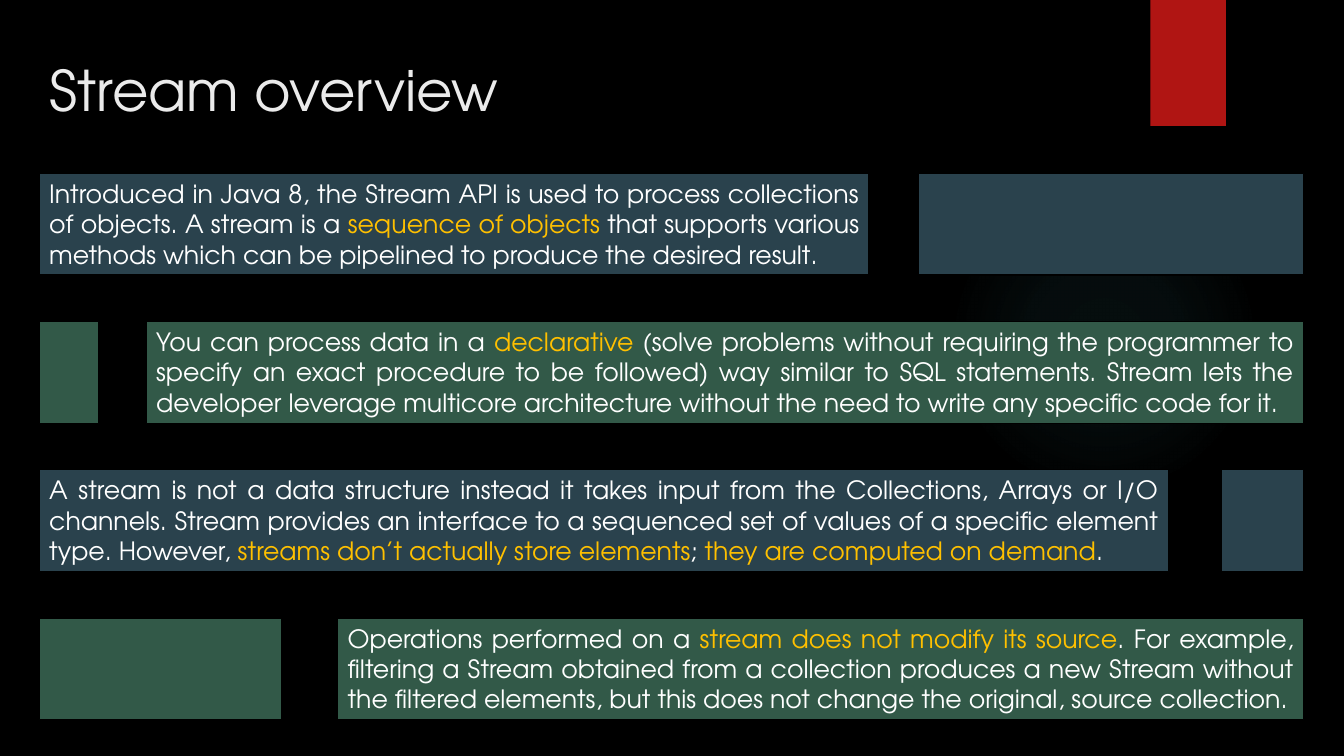
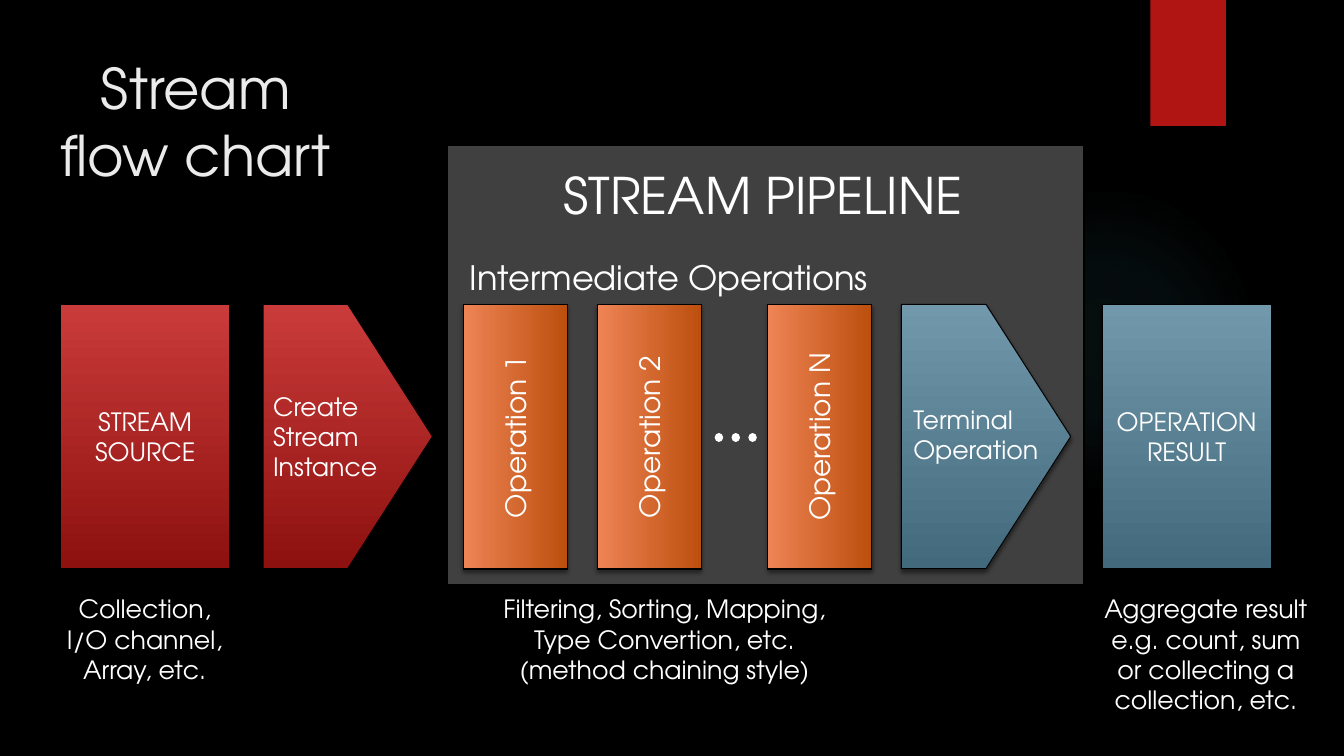
from pptx import Presentation
from pptx.dml.color import RGBColor
from pptx.enum.dml import MSO_LINE
from pptx.enum.shapes import MSO_CONNECTOR, MSO_SHAPE as SHAPE
from pptx.enum.text import MSO_ANCHOR as ANCHOR, PP_ALIGN as ALIGN
from pptx.oxml import parse_xml
from pptx.oxml.ns import nsdecls, qn
from pptx.util import Inches, Pt

FONT = "TeX Gyre Adventor"
COLORS = {
    "black": "000000",
    "white": "FFFFFF",
    "title": "EBEBEB",
    "accent": "B01513",
    "glow": "50B9C1",
    "highlight": "FFC000",
    "navy": "2A424D",
    "green": "325948",
    "panel": "404040",
}
GRADIENTS = {
    "red": ("C93B3A", "8D110F"),
    "steel": ("7198AB", "436A7C"),
    "orange": ("EE8455", "BC4F0E"),
}
MARGIN, RIGHT_EDGE = 0.39, 12.93
ROW_TOP, ROW_PITCH, ROW_HEIGHT = 1.72, 1.47, 1.01
STEP_TOP, STEP_WIDTH, STEP_HEIGHT = 3.02, 1.68, 2.62
CAPTION_TOP = 5.84

OVERVIEW_ROWS = [
    (8.23, 3.82, [
        "Introduced in Java 8, the Stream API is used to process collections of objects. A stream is a ",
        "sequence of objects",
        " that supports various methods which can be pipelined to produce the desired result.",
    ]),
    (11.48, 0.59, [
        "You can process data in a ",
        "declarative ",
        "(solve problems without requiring the programmer to specify an exact procedure to be followed) "
        "way similar to SQL statements. Stream lets the developer leverage multicore architecture "
        "without the need to write any specific code for it.",
    ]),
    (11.2, 0.82, [
        "A stream is not a data structure instead it takes input from the Collections, Arrays or I/O "
        "channels. Stream provides an interface to a sequenced set of values of a specific element "
        "type. However, ",
        "streams don’t actually store elements",
        "; ",
        "they are computed on demand",
        ".",
    ]),
    (9.58, 2.4, [
        "Operations performed on a ",
        "stream does not modify its source",
        ". For example, filtering a Stream obtained from a collection produces a new Stream without "
        "the filtered elements, but this does not change the original, source collection.",
    ]),
]


def color(name):
    return RGBColor.from_string(COLORS[name])


def write(shape, paragraphs, size=18, align=ALIGN.CENTER, anchor=ANCHOR.TOP, ink="white"):
    frame = shape.text_frame
    frame.word_wrap = True
    frame.vertical_anchor = anchor
    for index, spans in enumerate(paragraphs):
        para = frame.paragraphs[0] if index == 0 else frame.add_paragraph()
        para.alignment = align
        para.font.name = FONT
        para.font.size = Pt(size)
        para.font.color.rgb = color(ink)
        for position, text in enumerate(spans):
            span = para.add_run()
            span.text = text
            if position % 2:
                span.font.color.rgb = color("highlight")


def add_text(slide, at, lines, **style):
    box = slide.shapes.add_textbox(*map(Inches, at))
    write(box, [[line] for line in lines], **style)


def add_block(slide, kind, at, fill, line_width=None):
    block = slide.shapes.add_shape(kind, *map(Inches, at))
    block.shadow.inherit = False
    if fill in GRADIENTS:
        block.fill.gradient()
        block.fill.gradient_angle = 270
        for stop, shade in zip(block.fill.gradient_stops, GRADIENTS[fill]):
            stop.color.rgb = RGBColor.from_string(shade)
    else:
        block.fill.solid()
        block.fill.fore_color.rgb = color(fill)
    if line_width:
        block.line.color.rgb = color("black")
        block.line.width = Pt(line_width)
    else:
        block.line.fill.background()
    return block


def add_shadow(shape):
    effects = shape.element.spPr.find(qn("a:effectLst"))
    effects.append(parse_xml(
        f'<a:outerShdw {nsdecls("a")} blurRad="{Pt(3)}" dist="{Pt(2)}" dir="5400000" rotWithShape="0">'
        f'<a:srgbClr val="{COLORS["black"]}"><a:alpha val="45000"/></a:srgbClr></a:outerShdw>'))


def add_glow(slide):
    glow = add_block(slide, SHAPE.OVAL, (9.41, 1.83, 3.08, 3.08), "glow")
    stops = "".join(
        f'<a:gs pos="{place}000"><a:srgbClr val="{COLORS["glow"]}"><a:alpha val="{alpha}000"/></a:srgbClr></a:gs>'
        for place, alpha in ((0, 7), (36, 6), (69, 0)))
    gradient = parse_xml(
        f'<a:gradFill {nsdecls("a")}><a:gsLst>{stops}</a:gsLst><a:path path="circle">'
        '<a:fillToRect l="50000" t="50000" r="50000" b="50000"/></a:path></a:gradFill>')
    properties = glow.element.spPr
    properties.replace(properties.find(qn("a:solidFill")), gradient)


def add_slide(deck):
    slide = deck.slides.add_slide(deck.slide_layouts[6])
    slide.background.fill.solid()
    slide.background.fill.fore_color.rgb = color("black")
    add_glow(slide)
    add_shadow(add_block(slide, SHAPE.RECTANGLE, (11.41, 0, 0.75, 1.25), "accent"))
    return slide


def add_title(slide, at, text, align):
    add_text(slide, at, [text], size=40, align=align, ink="title")


def add_step(slide, kind, at, fill, lines=(), size=18, align=ALIGN.CENTER):
    step = add_block(slide, kind, at, fill, 0.75)
    add_shadow(step)
    write(step, [[line] for line in lines], size, align, ANCHOR.MIDDLE)
    return step


def add_dots(slide, left, right, middle):
    dots = slide.shapes.add_connector(
        MSO_CONNECTOR.STRAIGHT, *map(Inches, (left, middle, right, middle)))
    dots.line.color.rgb = color("white")
    dots.line.width = Pt(6)
    dots.line.dash_style = MSO_LINE.ROUND_DOT
    properties = dots.element.spPr
    properties.find(qn("a:ln")).set("cap", "rnd")
    properties.append(parse_xml(f'<a:effectLst {nsdecls("a")}/>'))


def build_overview(deck):
    slide = add_slide(deck)
    add_title(slide, (MARGIN, 0.5, 11.05, 0.88), "Stream overview", ALIGN.LEFT)
    for index, (text_width, filler_width, spans) in enumerate(OVERVIEW_ROWS):
        top = ROW_TOP + index * ROW_PITCH
        text_left, filler_left, fill = MARGIN, RIGHT_EDGE - filler_width, "navy"
        if index % 2:
            text_left, filler_left, fill = RIGHT_EDGE - text_width, MARGIN, "green"
        box = add_block(slide, SHAPE.RECTANGLE, (text_left, top, text_width, ROW_HEIGHT), fill, 1)
        write(box, [spans], align=ALIGN.JUSTIFY)
        add_block(slide, SHAPE.RECTANGLE, (filler_left, top, filler_width, ROW_HEIGHT), fill, 1)


def build_flow_chart(deck):
    slide = add_slide(deck)
    add_block(slide, SHAPE.RECTANGLE, (4.43, 1.44, 6.32, 4.36), "panel", 1.5)
    add_title(slide, (0.45, 0.48, 2.98, 1.49), "Stream flow chart", ALIGN.CENTER)

    for kind, left, fill, lines, align in (
        (SHAPE.RECTANGLE, 0.6, "red", ["STREAM", "SOURCE"], ALIGN.CENTER),
        (SHAPE.PENTAGON, 2.61, "red", ["Create", "Stream", "Instance"], ALIGN.LEFT),
        (SHAPE.PENTAGON, 8.94, "steel", [], ALIGN.LEFT),
        (SHAPE.RECTANGLE, 10.93, "steel", ["OPERATION", "RESULT"], ALIGN.CENTER),
    ):
        add_step(slide, kind, (left, STEP_TOP, STEP_WIDTH, STEP_HEIGHT), fill, lines, align=align)
    add_text(slide, (8.96, 3.96, 1.5, 0.71), ["Terminal", "Operation"], align=ALIGN.LEFT)

    for left, number in ((3.8, "1"), (5.13, "2"), (6.82, "N")):
        operation = add_step(slide, SHAPE.RECTANGLE, (left, 3.82, STEP_HEIGHT, 1.03), "orange",
                             [f"Operation {number}"], size=20)
        operation.rotation = 270
    add_dots(slide, 7.13, 7.52, 4.34)

    add_text(slide, (4.51, 2.5, 4.25, 0.5), ["Intermediate Operations"], size=24)
    add_text(slide, (4.6, 1.58, 5.94, 0.71), ["STREAM PIPELINE"], size=36)
    for left, width, height, lines in (
        (0.53, 1.81, 1.01, ["Collection, I/O channel, Array, etc."]),
        (4.43, 4.32, 1.01, ["Filtering, Sorting, Mapping,", "Type Convertion, etc.",
                            "(method chaining style)"]),
        (10.78, 2.36, 1.31, ["Aggregate result e.g. count, sum or collecting a collection, etc."]),
    ):
        add_text(slide, (left, CAPTION_TOP, width, height), lines)


def main():
    deck = Presentation()
    deck.slide_width = Inches(13.33)
    deck.slide_height = Inches(7.5)
    build_overview(deck)
    build_flow_chart(deck)
    deck.save("out.pptx")


if __name__ == "__main__":
    main()
